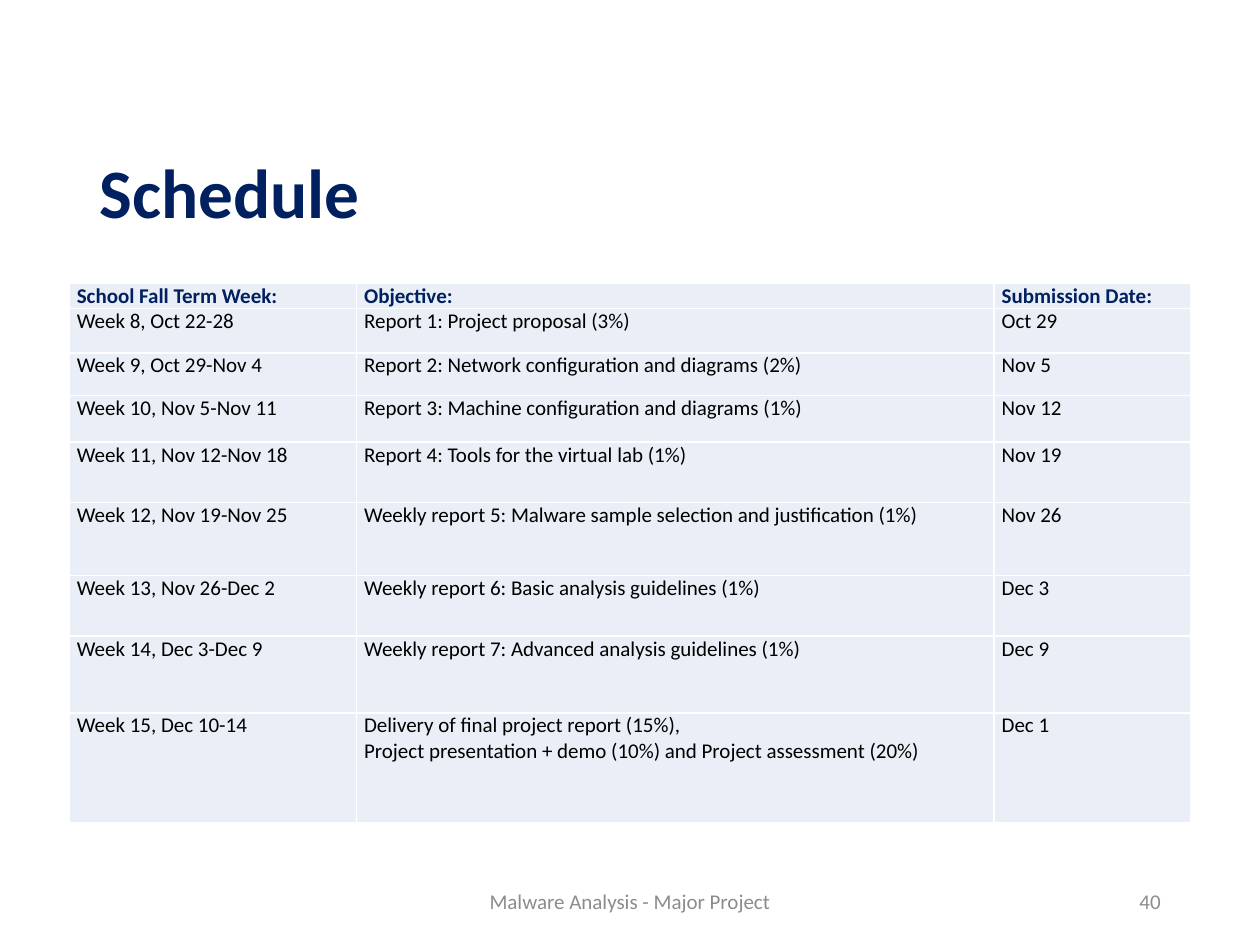
from dataclasses import dataclass

from lxml import etree
from pptx import Presentation
from pptx.dml.color import RGBColor
from pptx.enum.text import MSO_ANCHOR, PP_ALIGN
from pptx.oxml.ns import qn
from pptx.util import Inches, Pt

LEFT, CENTER, RIGHT = PP_ALIGN.LEFT, PP_ALIGN.CENTER, PP_ALIGN.RIGHT
MIDDLE = MSO_ANCHOR.MIDDLE
SLIDE_WIDTH, SLIDE_HEIGHT = Inches(10), Inches(7.5)
FONT = "Calibri"
COLORS = {
    "navy": "002060",
    "body": "000000",
    "footer": "8C8C8C",
    "cell": "EAEFF7",
    "border": "FFFFFF",
}


@dataclass(frozen=True)
class Style:
    size: float
    color: str
    bold: bool = False


@dataclass(frozen=True)
class Box:
    """A rectangle in percent of the slide's width and height."""
    left: float
    top: float
    width: float
    height: float

    def lengths(self) -> tuple[int, int, int, int]:
        return (across(self.left), down(self.top),
                across(self.width), down(self.height))


@dataclass(frozen=True)
class Label:
    text: str
    box: Box
    style: Style
    alignment: PP_ALIGN
    line_spacing: float = 1.0


@dataclass(frozen=True)
class ScheduleRow:
    height: float
    week: str
    objective: str
    due: str


TITLE_STYLE = Style(39.6, "navy", True)
HEADER_STYLE = Style(12, "navy", True)
BODY_STYLE = Style(12, "body")
FOOTER_STYLE = Style(12, "footer")

LABELS = [
    Label("Schedule", Box(6.9, 16.53, 86.2, 8.4), TITLE_STYLE, LEFT, 0.9),
    Label("Malware Analysis - Major Project", Box(33.1, 92.67, 33.8, 5.33),
          FOOTER_STYLE, CENTER),
    Label("40", Box(70.6, 92.67, 22.5, 5.33), FOOTER_STYLE, RIGHT),
]

TABLE_LEFT, TABLE_TOP = 5.5, 30
COLUMN_WIDTHS = [22.8, 50.6, 15.6]
SCHEDULE = [
    ScheduleRow(2.67, "School Fall Term Week:", "Objective:", "Submission Date:"),
    ScheduleRow(4.67, "Week 8, Oct 22-28", "Report 1: Project proposal (3%)", "Oct 29"),
    ScheduleRow(4.53, "Week 9, Oct 29-Nov 4",
                "Report 2: Network configuration and diagrams (2%)", "Nov 5"),
    ScheduleRow(4.93, "Week 10, Nov 5-Nov 11",
                "Report 3: Machine configuration and diagrams (1%)", "Nov 12"),
    ScheduleRow(6.4, "Week 11, Nov 12-Nov 18",
                "Report 4: Tools for the virtual lab (1%)", "Nov 19"),
    ScheduleRow(7.73, "Week 12, Nov 19-Nov 25",
                "Weekly report 5: Malware sample selection and justification (1%)",
                "Nov 26"),
    ScheduleRow(6.4, "Week 13, Nov 26-Dec 2",
                "Weekly report 6: Basic analysis guidelines (1%)", "Dec 3"),
    ScheduleRow(8.13, "Week 14, Dec 3-Dec 9",
                "Weekly report 7: Advanced analysis guidelines (1%)", "Dec 9"),
    ScheduleRow(11.6, "Week 15, Dec 10-14",
                "Delivery of final project report (15%),\n"
                "Project presentation + demo (10%) and Project assessment (20%)",
                "Dec 1"),
]


def across(percent: float) -> int:
    return round(SLIDE_WIDTH * percent / 100)


def down(percent: float) -> int:
    return round(SLIDE_HEIGHT * percent / 100)


def write(text_frame, text: str, style: Style, alignment=LEFT, line_spacing=1.0) -> None:
    """Put each line of the text in a paragraph of its own."""
    for index, line in enumerate(text.split("\n")):
        paragraph = text_frame.add_paragraph() if index else text_frame.paragraphs[0]
        paragraph.alignment = alignment
        paragraph.line_spacing = line_spacing
        run = paragraph.add_run()
        run.text = line
        run.font.name = FONT
        run.font.size = Pt(style.size)
        run.font.bold = style.bold
        run.font.color.rgb = RGBColor.from_string(COLORS[style.color])


def add_label(slide, label: Label) -> None:
    text_frame = slide.shapes.add_textbox(*label.box.lengths()).text_frame
    text_frame.word_wrap = True
    text_frame.vertical_anchor = MIDDLE
    write(text_frame, label.text, label.style, label.alignment, label.line_spacing)


def add_borders(cell) -> None:
    properties = cell._tc.get_or_add_tcPr()
    for position, side in enumerate(("lnL", "lnR", "lnT", "lnB")):
        line = etree.Element(qn(f"a:{side}"), w=str(Pt(1)))
        fill = etree.SubElement(line, qn("a:solidFill"))
        etree.SubElement(fill, qn("a:srgbClr"), val=COLORS["border"])
        properties.insert(position, line)


def fill_cell(cell, text: str, style: Style) -> None:
    cell.margin_left = cell.margin_right = Inches(0.06)
    cell.margin_top = cell.margin_bottom = 0
    cell.fill.solid()
    cell.fill.fore_color.rgb = RGBColor.from_string(COLORS["cell"])
    add_borders(cell)
    write(cell.text_frame, text, style)


def add_schedule(slide) -> None:
    box = Box(TABLE_LEFT, TABLE_TOP, sum(COLUMN_WIDTHS),
              sum(entry.height for entry in SCHEDULE))
    table = slide.shapes.add_table(
        len(SCHEDULE), len(COLUMN_WIDTHS), *box.lengths()).table
    for column, width in zip(table.columns, COLUMN_WIDTHS):
        column.width = across(width)
    for index, (row, entry) in enumerate(zip(table.rows, SCHEDULE)):
        row.height = down(entry.height)
        style = BODY_STYLE if index else HEADER_STYLE
        for cell, text in zip(row.cells, (entry.week, entry.objective, entry.due)):
            fill_cell(cell, text, style)


def main() -> None:
    presentation = Presentation()
    presentation.slide_width, presentation.slide_height = SLIDE_WIDTH, SLIDE_HEIGHT
    slide = presentation.slides.add_slide(presentation.slide_layouts[6])
    title, *footers = LABELS
    add_label(slide, title)
    add_schedule(slide)
    for footer in footers:
        add_label(slide, footer)
    presentation.save("out.pptx")


if __name__ == "__main__":
    main()
